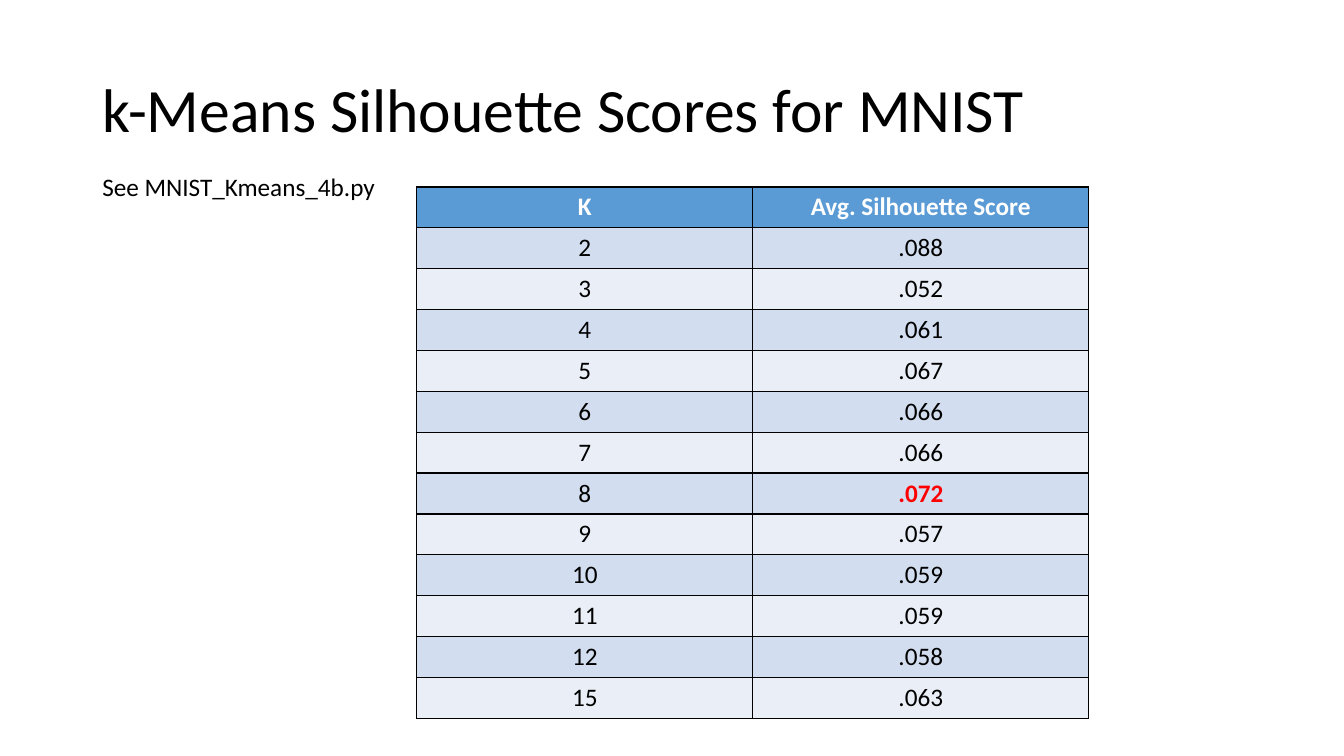
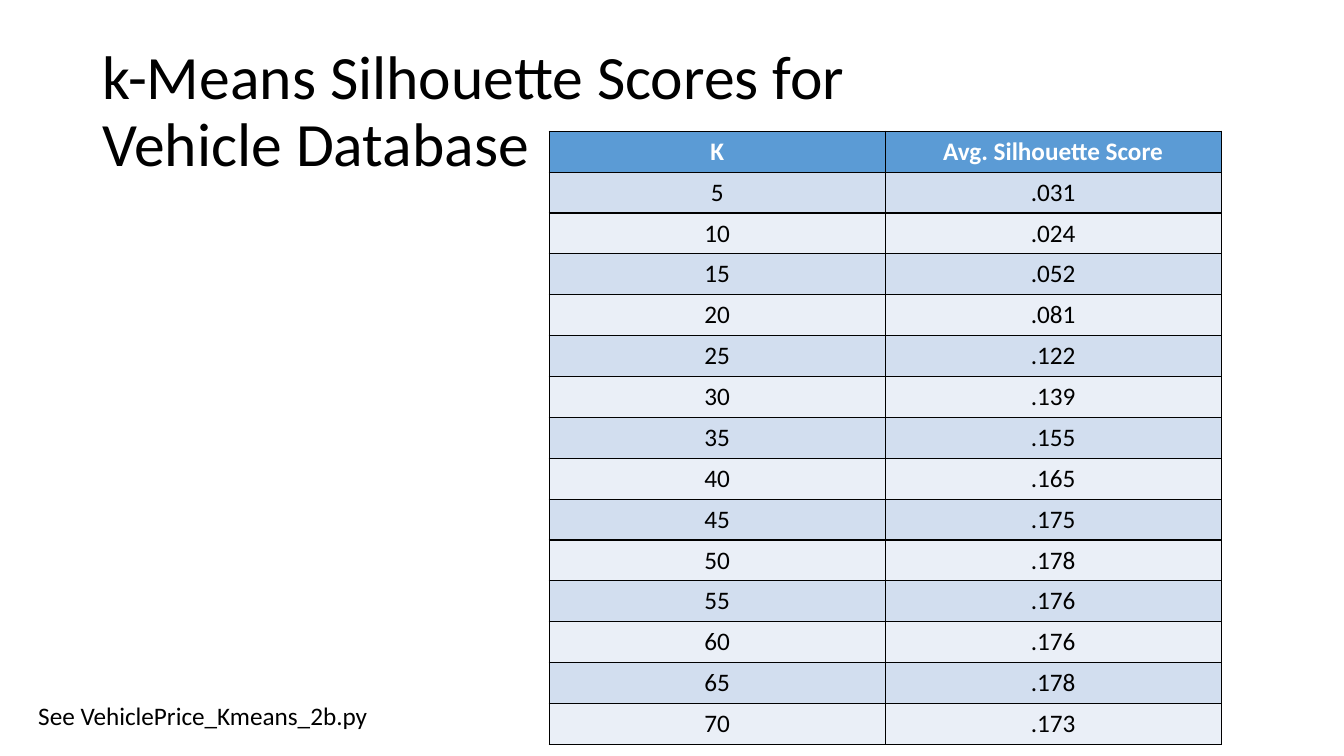
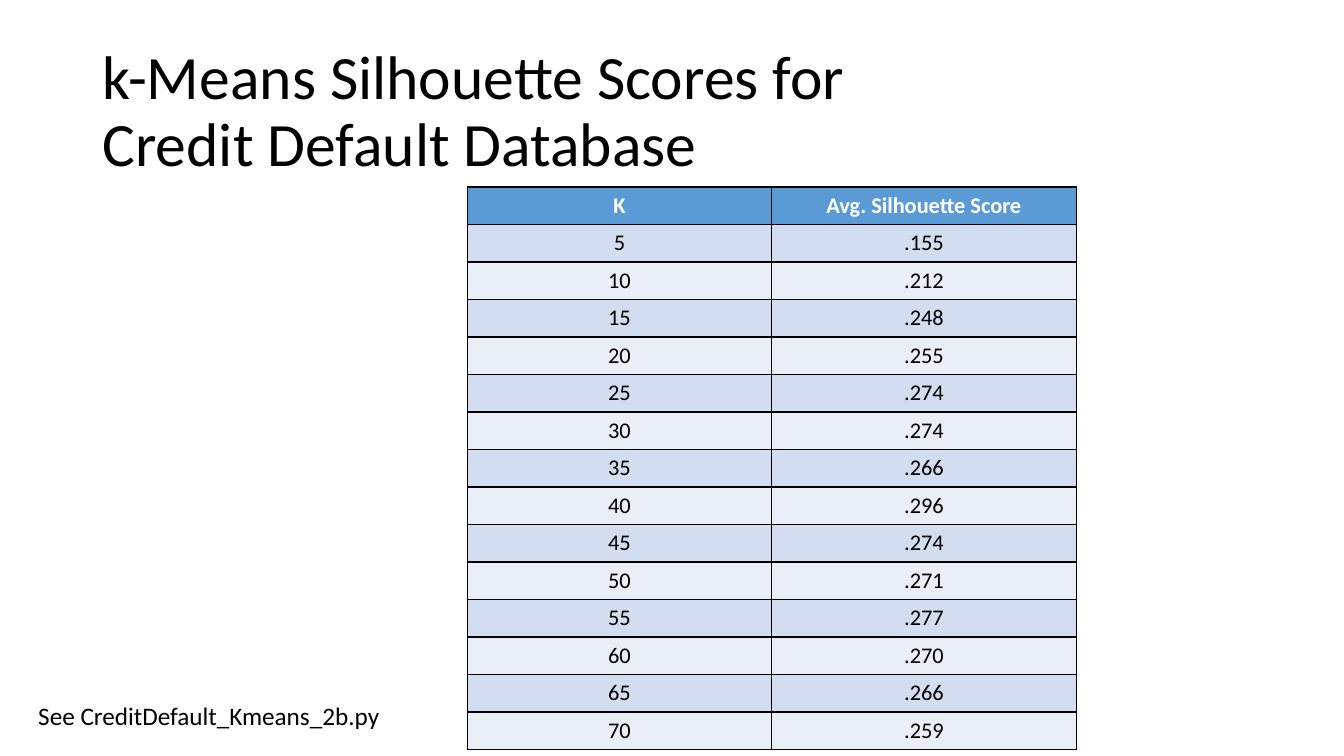
from dataclasses import dataclass

from pptx import Presentation
from pptx.dml.color import RGBColor
from pptx.enum.text import MSO_ANCHOR as Anchor, MSO_AUTO_SIZE as AutoSize, PP_ALIGN as Align
from pptx.oxml import parse_xml
from pptx.oxml.ns import nsdecls
from pptx.util import Pt

PX = 9525  # EMU per pixel, 96 pixels to the inch


@dataclass(frozen=True)
class Theme:
    font: str = "Calibri"
    text: str = "000000"
    header_text: str = "FFFFFF"
    best_text: str = "FF0000"
    header_fill: str = "5B9BD5"
    odd_fill: str = "D2DEEF"
    even_fill: str = "EAEFF7"
    border: str = "000000"
    title_size: int = 44
    body_size: int = 18
    compact_size: int = 16


theme = Theme()
HEADINGS = ("K", "Avg. Silhouette Score")
TITLE_BOX = (88, 38, 1104, 139)
FOOT_NOTE_BOX = (27, 662, 354, 38)
FIVES = range(5, 75, 5)

studies = [
    dict(
        title="k-Means Silhouette Scores for MNIST",
        note="See MNIST_Kmeans_4b.py", note_box=(88, 158, 282, 38),
        table_at=(397, 178), column=320, row=38, size=theme.body_size, best=8,
        ks=[*range(2, 13), 15],
        scores=".088 .052 .061 .067 .066 .066 .072 .057 .059 .059 .058 .063",
    ),
    dict(
        title="k-Means Silhouette Scores for\vVehicle Database",
        note="See VehiclePrice_Kmeans_2b.py", note_box=FOOT_NOTE_BOX,
        table_at=(523, 125), column=320, row=38, size=theme.body_size, best=None,
        ks=FIVES,
        scores=".031 .024 .052 .081 .122 .139 .155 .165 .175 .178 .176 .176 .178 .173",
    ),
    dict(
        title="k-Means Silhouette Scores for\vCredit Default Database",
        note="See CreditDefault_Kmeans_2b.py", note_box=FOOT_NOTE_BOX,
        table_at=(445, 178), column=290, row=35, size=theme.compact_size, best=None,
        ks=FIVES,
        scores=".155 .212 .248 .255 .274 .274 .266 .296 .274 .271 .277 .270 .266 .259",
    ),
]


def write(frame, text, size, color=theme.text, bold=False, align=Align.LEFT):
    frame.text = text
    paragraph = frame.paragraphs[0]
    paragraph.alignment = align
    for run in paragraph.runs:
        for name, value in dict(name=theme.font, size=Pt(size), bold=bold).items():
            setattr(run.font, name, value)
        run.font.color.rgb = RGBColor.from_string(color)
    return paragraph


def paint_cell(cell, fill):
    """Fill the cell and draw a 1 pt border on its four sides."""
    properties = cell._tc.get_or_add_tcPr()
    for side in ("lnL", "lnR", "lnT", "lnB"):
        properties.append(parse_xml(
            f'<a:{side} {nsdecls("a")} w="{Pt(1)}"><a:solidFill>'
            f'<a:srgbClr val="{theme.border}"/></a:solidFill></a:{side}>'))
    cell.fill.solid()
    cell.fill.fore_color.rgb = RGBColor.from_string(fill)


deck = Presentation()
deck.slide_width, deck.slide_height = 1280 * PX, 720 * PX
title_only = deck.slide_layouts[5]

for study in studies:
    slide = deck.slides.add_slide(title_only)

    title = slide.shapes.title
    for name, value in zip(("left", "top", "width", "height"), TITLE_BOX):
        setattr(title, name, value * PX)
    heading = title.text_frame
    for name, value in dict(auto_size=AutoSize.NONE, word_wrap=True,
                            vertical_anchor=Anchor.MIDDLE).items():
        setattr(heading, name, value)
    write(heading, study["title"], theme.title_size).line_spacing = 0.9

    records = [HEADINGS, *zip(study["ks"], study["scores"].split())]
    left, top = study["table_at"]
    score_table = slide.shapes.add_table(
        len(records), len(HEADINGS), left * PX, top * PX,
        len(HEADINGS) * study["column"] * PX, len(records) * study["row"] * PX).table
    for column in score_table.columns:
        column.width = study["column"] * PX
    for index, record in enumerate(records):
        score_table.rows[index].height = study["row"] * PX
        is_header = index == 0
        is_best = record[0] == study["best"]
        if is_header:
            fill = theme.header_fill
        else:
            fill = theme.odd_fill if index % 2 else theme.even_fill
        for position, value in enumerate(record):
            cell = score_table.cell(index, position)
            highlight = is_best and position == 1
            color = (theme.header_text if is_header
                     else theme.best_text if highlight else theme.text)
            write(cell.text_frame, str(value), study["size"], color,
                  bold=is_header or highlight, align=Align.CENTER)
            paint_cell(cell, fill)

    note = slide.shapes.add_textbox(*(value * PX for value in study["note_box"])).text_frame
    note.word_wrap = True
    write(note, study["note"], theme.body_size)

deck.save("out.pptx")
